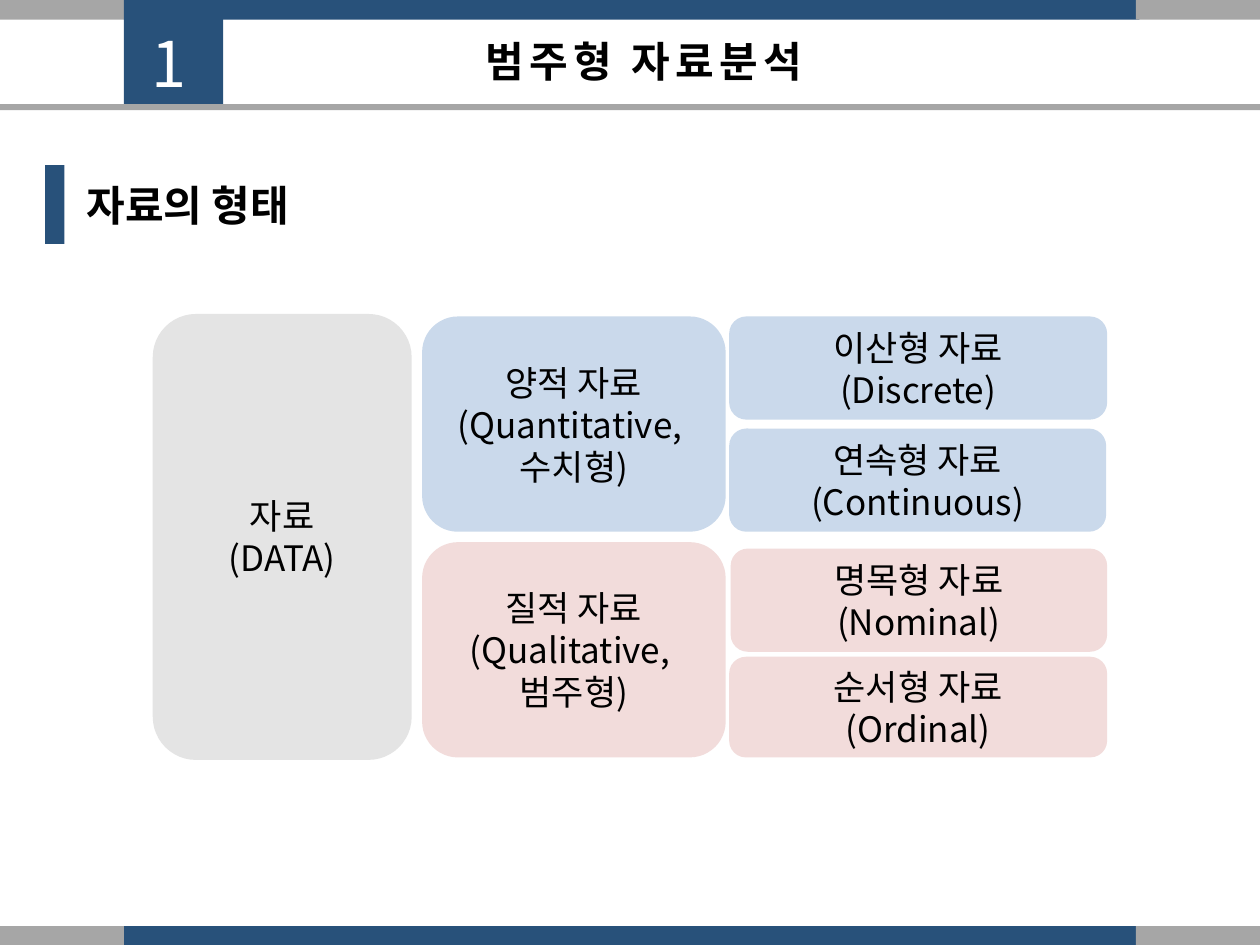
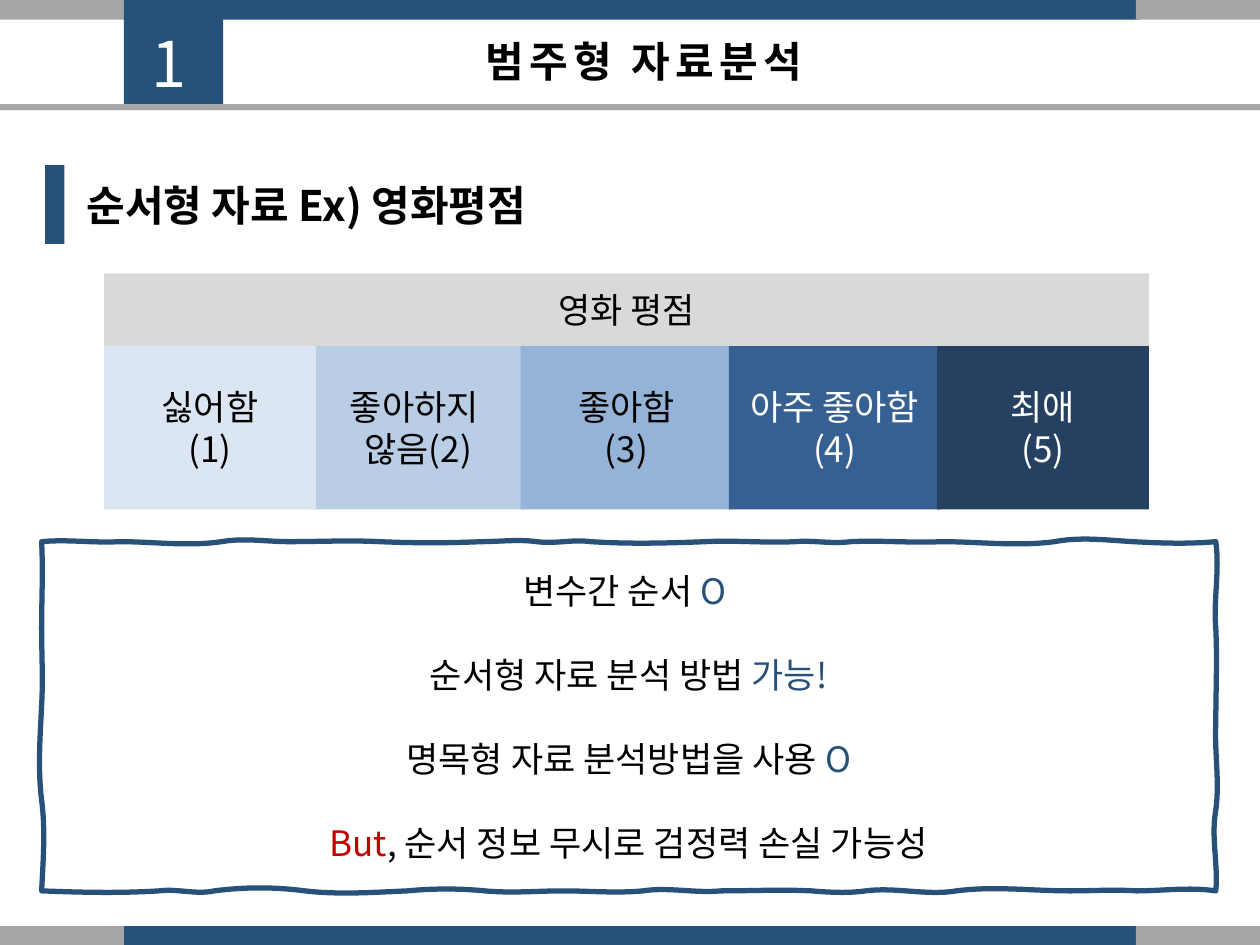
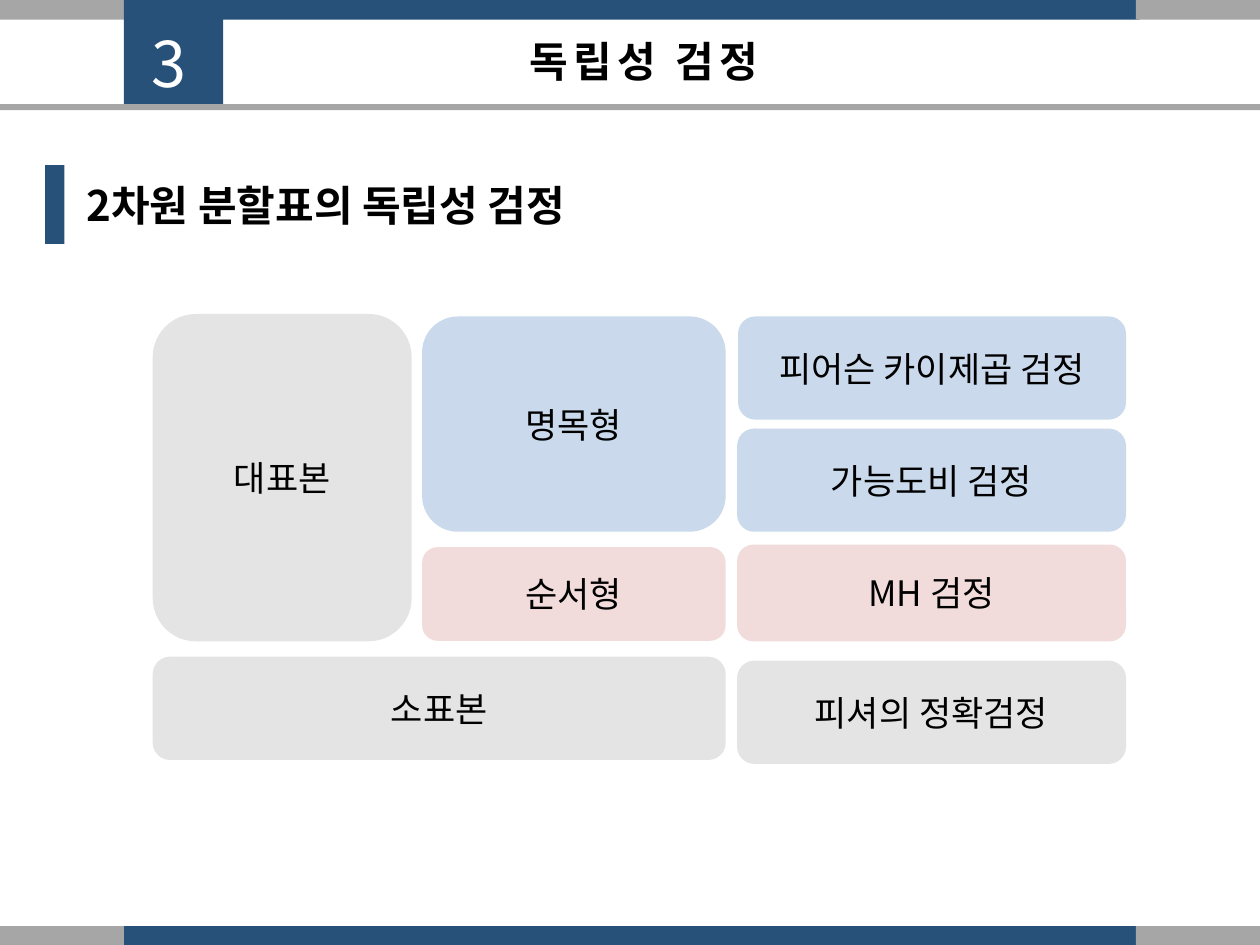
from lxml.etree import SubElement
from pptx import Presentation
from pptx.dml.color import RGBColor
from pptx.enum.shapes import MSO_SHAPE as Preset
from pptx.enum.text import MSO_ANCHOR as Anchor, MSO_AUTO_SIZE as AutoSize, PP_ALIGN as Align
from pptx.oxml.ns import qn
from pptx.util import Cm, Pt

FONT = "Noto Sans CJK KR"
NAVY, GRAY, SILVER = "28517A", "A6A6A6", "D9D9D9"
BLUE, PINK, RED = "CAD9EB", "F2DCDB", "C00000"
BLACK, WHITE = "000000", "FFFFFF"
SLIDE_WIDTH, SLIDE_HEIGHT = 25.4, 19.05
DIAGRAM = (3.08, 6.33)
ROOT_WIDTH, BRANCH_LEFT, BRANCH_WIDTH = 5.22, 5.43, 6.12
WAVY_BOX = (0.84, 10.92, 23.67, 7.04)

TOP_WAVES = [
    (1.57, -0.05, 0.03), (3.63, 0, 0.1), (4.98, -0.08, 0), (6.81, 0, -0.03),
    (8.86, 0.03, 0.03), (9.98, 0, -0.05), (11.07, 0.05, -0.05), (13.39, 0.05, 0.03),
    (15.19, -0.03, 0.03), (16.31, -0.03, 0.05), (18.14, -0.03, 0.03),
    (20.42, 0, 0.1), (22, -0.1, -0.03), (23.67, 0.03, 0.05),
]
RIGHT_WAVES = [(1.75, 0.08, -0.05), (3.66, 0.03, 0), (5.41, -0.03, 0.08), (7.04, -0.1, 0.05)]
BOTTOM_WAVES = [
    (22.07, -0.08, 0), (20.73, -0.03, 0), (18.44, 0, -0.1), (16.61, 0.1, -0.08),
    (15.52, 0.05, 0.03), (13.69, -0.03, 0), (12.12, 0.05, -0.08), (10.52, 0.05, 0),
    (8.94, 0, 0.05), (7.37, -0.05, -0.05), (5.31, 0.03, 0.08), (3.48, -0.08, -0.08),
    (2.36, 0.08, -0.05), (0, 0.05, 0.03),
]
LEFT_WAVES = [(5.21, 0.03, 0.08), (3.3, -0.08, -0.03), (1.75, 0.03, 0), (0, 0, 0.03)]


def colour(value):
    """Turn a hex string into a colour."""
    return RGBColor.from_string(value)


def lengths(*values):
    """Turn centimetre numbers into lengths."""
    return [Cm(value) for value in values]


def write(shape, paragraphs, size=20, ink=BLACK, bold=False, align=Align.CENTER,
          anchor=Anchor.MIDDLE, tracking=0, gap=0):
    """Fill a shape with paragraphs, each a string or a list of (text, colour) runs."""
    frame = shape.text_frame
    frame_format = {"word_wrap": True, "auto_size": AutoSize.NONE, "vertical_anchor": anchor}
    for name, value in frame_format.items():
        setattr(frame, name, value)
    for index, content in enumerate(paragraphs):
        paragraph = frame.add_paragraph() if index else frame.paragraphs[0]
        paragraph_format = {"alignment": align, "line_spacing": Pt(size * 1.2),
                            "space_before": Pt(gap if index else 0), "space_after": Pt(0)}
        for name, value in paragraph_format.items():
            setattr(paragraph, name, value)
        runs = [(content, ink)] if isinstance(content, str) else content
        for text, run_colour in runs:
            run = paragraph.add_run()
            run.text = text
            for name, value in {"name": FONT, "size": Pt(size), "bold": bold}.items():
                setattr(run.font, name, value)
            run.font.color.rgb = colour(run_colour)
            properties = run.font._element
            SubElement(properties, qn("a:ea"), typeface=FONT)
            if tracking:
                properties.set("spc", str(tracking * 100))


def add_block(slide, box, fill, preset=Preset.RECTANGLE, opacity=100):
    """Add a filled preset shape without line or shadow."""
    shape = slide.shapes.add_shape(preset, *lengths(*box))
    shape.shadow.inherit = False
    shape.line.fill.background()
    shape.fill.solid()
    shape.fill.fore_color.rgb = colour(fill)
    if opacity < 100:
        tint = shape.element.spPr.find(".//" + qn("a:srgbClr"))
        SubElement(tint, qn("a:alpha"), val=str(opacity * 1000))
    return shape


def place(shape, box):
    """Move a placeholder to a box."""
    for name, value in zip(("left", "top", "width", "height"), lengths(*box)):
        setattr(shape, name, value)


def add_bands(slide, layout):
    """Put the top and bottom bands on the layout."""
    side, height = 2.5, 0.4
    columns = [(side, 20.47, NAVY), (0, side, GRAY), (22.9, 2.5, GRAY)]
    for row, top in enumerate((0, SLIDE_HEIGHT - 0.38)):
        for column, (left, width, fill) in enumerate(columns):
            band = add_block(slide, (left, top, width, height), fill)
            band.element.nvSpPr.cNvPr.id = 100 + row * len(columns) + column
            layout.shapes.element.append(band.element)


def add_header(slide, number, title, title_height):
    """Add the numbered square, the slide title and the rule below."""
    add_block(slide, (2.5, 0, 2, 2.1), NAVY)
    place(slide.shapes.title, (7.69, 0.58, 10.59, title_height))
    write(slide.shapes.title, [title], 24, bold=True, anchor=Anchor.TOP, tracking=3)
    add_block(slide, (0, 2.1, SLIDE_WIDTH, 0.12), GRAY)
    number_box = slide.shapes.add_textbox(*lengths(2.31, 0.36, 2.21, 1.8))
    write(number_box, [number], 36, WHITE, anchor=Anchor.TOP, tracking=3)


def add_heading(slide, text, width):
    """Add the section heading with its marker."""
    top, height = 3.33, 1.59
    add_block(slide, (0.91, top, 0.39, height), NAVY)
    heading = slide.placeholders[1]
    place(heading, (1.49, top, width, height))
    write(heading, [text], 24, bold=True, align=Align.LEFT)
    properties = heading.text_frame.paragraphs[0]._p.get_or_add_pPr()
    properties.set("marL", "0")
    properties.set("indent", "0")
    SubElement(properties, qn("a:buNone"))


def add_page(presentation, number, title, heading, heading_width, title_height=2.31):
    """Add a slide with header and heading."""
    slide = presentation.slides.add_slide(presentation.slide_layouts[1])
    add_header(slide, number, title, title_height)
    add_heading(slide, heading, heading_width)
    return slide


def add_diagram(slide, origin, nodes):
    """Draw rounded nodes relative to the diagram's origin."""
    for left, top, width, height, fill, lines in nodes:
        box = (origin[0] + left, origin[1] + top, width, height)
        opacity = 70 if fill == SILVER else 100
        write(add_block(slide, box, fill, Preset.ROUNDED_RECTANGLE, opacity), lines)


def add_scale(slide, box, title, steps):
    """Draw a title bar above a row of slightly overlapping rating steps, the first on top."""
    left, top, width, height = box
    title_height, step_width = 1.47, 4.27
    pitch = (width - step_width) / (len(steps) - 1)
    write(add_block(slide, (left, top, width, title_height), SILVER), [title])
    for index in [*range(1, len(steps)), 0]:
        fill, ink, lines = steps[index]
        step = (left + index * pitch, top + title_height, step_width, height - title_height)
        write(add_block(slide, step, fill), lines, ink=ink)


def wave(start, knots):
    """List the two controls and the end of each curve as (distance, offset) pairs."""
    curves = []
    for end, first, second in knots:
        third = (end - start) / 3
        curves.append([(start + third, first), (end - third, second), (end, 0)])
        start = end
    return curves


def add_wavy_box(slide, box, paragraphs):
    """Draw a hand-drawn frame around centred paragraphs."""
    left, top, width, height = box
    curves = wave(0, TOP_WAVES)
    curves += [[(width + x, y) for y, x in curve] for curve in wave(0, RIGHT_WAVES)]
    curves += [[(x, height + y) for x, y in curve] for curve in wave(width, BOTTOM_WAVES)]
    curves += [[(x, y) for y, x in curve] for curve in wave(height, LEFT_WAVES)]
    builder = slide.shapes.build_freeform(*lengths(left, top))
    builder.add_line_segments([lengths(left + x, top + y) for *_, (x, y) in curves], close=True)
    frame = builder.convert_to_shape()
    for segment, curve in zip(list(frame.element.iter(qn("a:lnTo"))), curves):
        segment.tag = qn("a:cubicBezTo")
        for position, point in enumerate(curve[:2]):
            x, y = lengths(*point)
            control = SubElement(segment, qn("a:pt"), x=str(int(x)), y=str(int(y)))
            segment.insert(position, control)
    frame.shadow.inherit = False
    frame.fill.background()
    frame.line.color.rgb = colour(NAVY)
    frame.line.width = Pt(3)
    write(frame, paragraphs, gap=24)


def build_data_types(presentation):
    """Build the slide on the types of data."""
    slide = add_page(presentation, "1", "범주형 자료분석", "자료의 형태", 9.4)
    add_bands(slide, presentation.slide_layouts[1])
    leaf_left, leaf_width = 11.62, 7.62
    add_diagram(slide, DIAGRAM, [
        (0, 0, ROOT_WIDTH, 8.99, SILVER, ["자료", "(DATA)"]),
        (BRANCH_LEFT, 0.05, BRANCH_WIDTH, 4.34, BLUE, ["양적 자료(Quantitative, ", "수치형)"]),
        (BRANCH_LEFT, 4.6, BRANCH_WIDTH, 4.34, PINK, ["질적 자료(Qualitative, ", "범주형)"]),
        (leaf_left, 0.05, leaf_width, 2.08, BLUE, ["이산형 자료", "(Discrete)"]),
        (leaf_left, 2.31, 7.6, 2.08, BLUE, ["연속형 자료(Continuous)"]),
        (11.65, 4.73, 7.59, 2.08, PINK, ["명목형 자료", "(Nominal)"]),
        (leaf_left, 6.91, leaf_width, 2.03, PINK, ["순서형 자료", "(Ordinal)"]),
    ])


def build_ordinal_example(presentation):
    """Build the slide with the film rating example."""
    slide = add_page(presentation, "1", "범주형 자료분석", "순서형 자료 Ex) 영화평점", 10.8)
    add_scale(slide, (2.1, 5.51, 21.06, 4.76), "영화 평점", [
        ("DCE6F2", BLACK, ["싫어함", "(1)"]),
        ("B9CDE5", BLACK, ["좋아하지 ", "않음(2)"]),
        ("95B3D7", BLACK, ["좋아함", "(3)"]),
        ("376092", WHITE, ["아주 좋아함(4)"]),
        ("254061", WHITE, ["최애", "(5)"]),
    ])
    add_wavy_box(slide, WAVY_BOX, [
        [("변수간 순서 ", BLACK), ("O ", NAVY)],
        [("순서형 자료 분석 방법 ", BLACK), ("가능!", NAVY)],
        [("명목형 자료 분석방법을 사용 ", BLACK), ("O", NAVY)],
        [("But", RED), (", 순서 정보 무시로 검정력 손실 가능성", BLACK)],
    ])


def build_independence_tests(presentation):
    """Build the slide on tests of independence."""
    slide = add_page(presentation, "3", "독립성 검정", "2차원 분할표의 독립성 검정", 13.13, 1.27)
    leaf_left, leaf_width = 11.78, 7.84
    add_diagram(slide, DIAGRAM, [
        (0, 0, ROOT_WIDTH, 6.6, SILVER, ["대표본"]),
        (BRANCH_LEFT, 0.05, BRANCH_WIDTH, 4.34, BLUE, ["명목형"]),
        (BRANCH_LEFT, 4.7, BRANCH_WIDTH, 1.89, PINK, ["순서형"]),
        (11.8, 0.05, 7.82, 2.08, BLUE, ["피어슨 카이제곱 검정"]),
        (leaf_left, 2.31, leaf_width, 2.08, BLUE, ["가능도비 검정"]),
        (leaf_left, 4.65, leaf_width, 1.95, PINK, ["MH 검정"]),
        (0, 6.91, BRANCH_LEFT + BRANCH_WIDTH, 2.08, SILVER, ["소표본"]),
        (leaf_left, 6.99, leaf_width, 2.08, SILVER, ["피셔의 정확검정"]),
    ])


def main():
    """Build and save the presentation."""
    presentation = Presentation()
    presentation.slide_width, presentation.slide_height = lengths(SLIDE_WIDTH, SLIDE_HEIGHT)
    for build in (build_data_types, build_ordinal_example, build_independence_tests):
        build(presentation)
    presentation.save("out.pptx")


if __name__ == "__main__":
    main()
